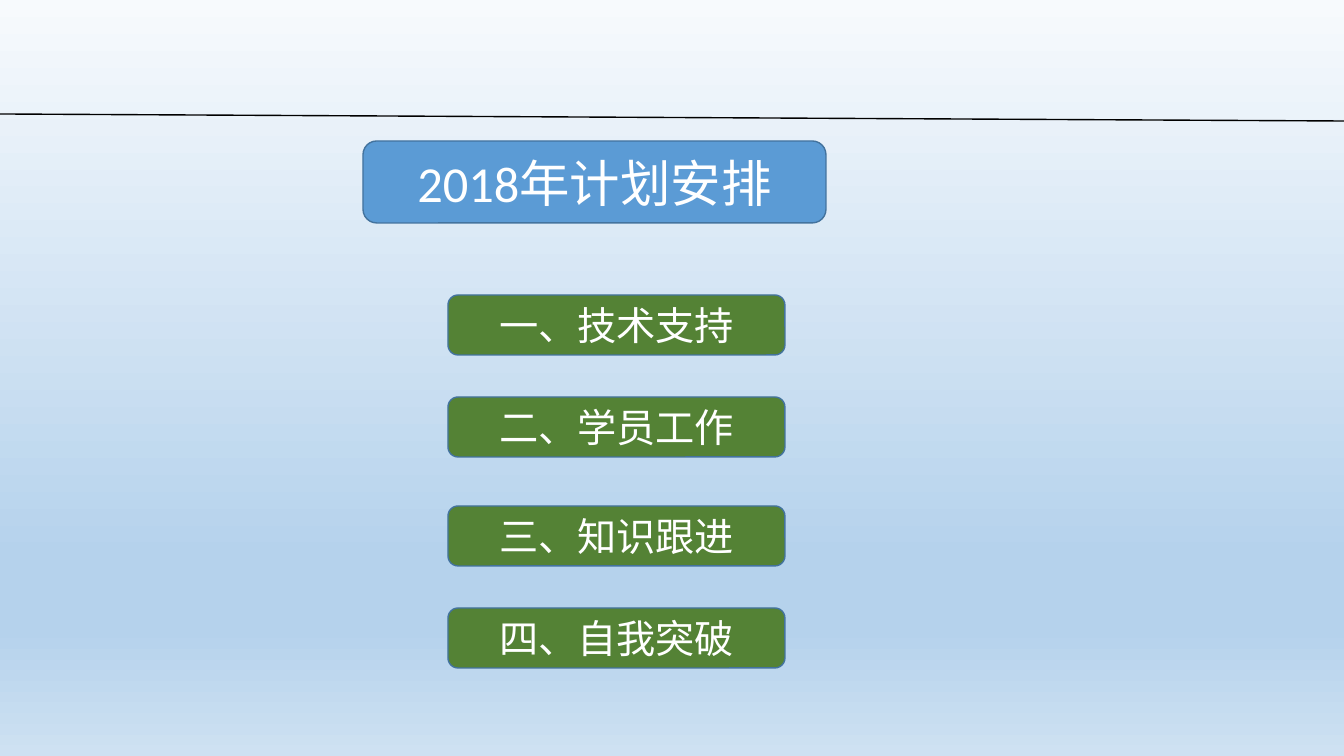
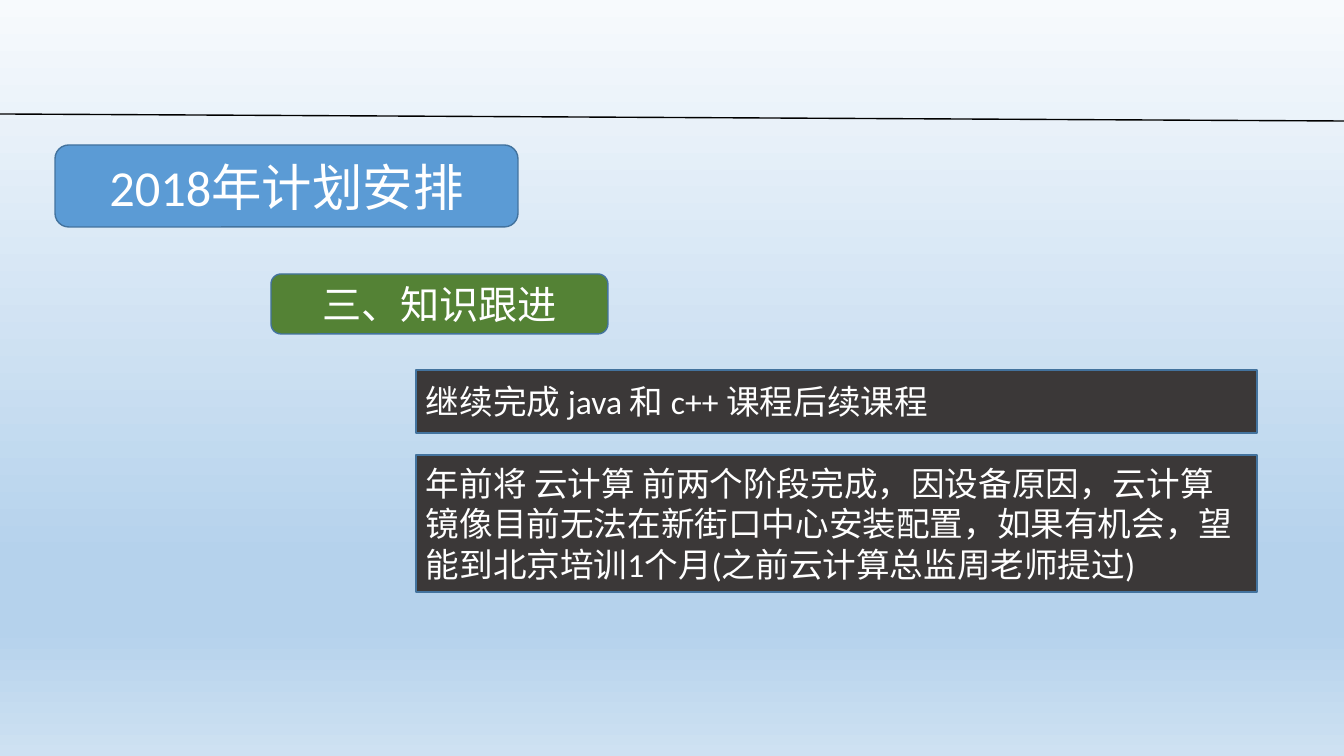
from dataclasses import dataclass

from lxml import etree
from pptx import Presentation, util as u
from pptx.dml.color import RGBColor
from pptx.enum import shapes, text
from pptx.oxml import ns

EMU_PER_PIXEL = 914400 / 100.8
SLIDE_WIDTH, SLIDE_HEIGHT = 1344, 756


@dataclass(frozen=True)
class Theme:
    """Colours, font and type sizes shared by the slides."""
    font: str = "Calibri"
    light: str = "FFFFFF"
    title_fill: str = "5B9BD5"
    section_fill: str = "548235"
    detail_fill: str = "3B3838"
    outline: str = "43739E"
    rule: str = "000000"
    sky: tuple = ((0, "F7FAFD"), (74, "B5D2EC"), (83, "B5D2EC"), (100, "CEE1F2"))
    title_size: int = 36
    section_size: int = 28
    detail_size: int = 24
    line_width: int = 1


def px(length):
    """Turn pixels into EMU."""
    return u.Emu(round(length * EMU_PER_PIXEL))


def write(frame, words, *, size, color, font, align):
    """Write one paragraph, vertically centred, into a text frame."""
    frame.word_wrap = True
    frame.vertical_anchor = text.MSO_ANCHOR.MIDDLE
    paragraph = frame.paragraphs[0]
    paragraph.alignment = align
    run = paragraph.add_run()
    run.text = words
    run.font.size = u.Pt(size)
    run.font.name = font
    run.font.color.rgb = RGBColor.from_string(color)


class Deck:
    """Hold the theme, the presentation and the current slide."""

    def __init__(self, theme):
        """Start a deck with the shared background."""
        self.theme = theme
        self.show = Presentation()
        self.show.slide_width = px(SLIDE_WIDTH)
        self.show.slide_height = px(SLIDE_HEIGHT)
        self.slide = None
        self.paint_background()

    def paint_background(self):
        """Give the master a vertical gradient with the theme's stops."""
        master = self.show.slide_master
        fill = master.background.fill
        fill.gradient()
        fill.gradient_angle = 270
        stops = master.element.find(f".//{ns.qn('p:bg')}//{ns.qn('a:gsLst')}")
        for stop in list(stops):
            stops.remove(stop)
        for percent, color in self.theme.sky:
            stop = etree.SubElement(stops, ns.qn("a:gs"), pos=str(percent * 1000))
            etree.SubElement(stop, ns.qn("a:srgbClr"), val=color)

    def new_slide(self, title_left, title_top):
        """Add a slide with its title and header rule."""
        self.slide = self.show.slides.add_slide(self.show.slide_layouts[6])
        self.title("2018年计划安排", title_left, title_top)
        self.rule((0, 114), (SLIDE_WIDTH, 121))

    def box(self, words, kind, left, top, width, height, fill, size,
            align=text.PP_ALIGN.CENTER):
        """Add a filled, outlined shape with text."""
        theme = self.theme
        shape = self.slide.shapes.add_shape(
            kind, px(left), px(top), px(width), px(height))
        shape.shadow.inherit = False
        shape.fill.solid()
        shape.fill.fore_color.rgb = RGBColor.from_string(fill)
        shape.line.color.rgb = RGBColor.from_string(theme.outline)
        shape.line.width = u.Pt(theme.line_width)
        write(shape.text_frame, words, size=size, color=theme.light,
              font=theme.font, align=align)

    def title(self, words, left, top):
        """Add the blue title box."""
        self.box(words, shapes.MSO_SHAPE.ROUNDED_RECTANGLE, left, top, 463, 82,
                 self.theme.title_fill, self.theme.title_size)

    def section(self, words, left, top):
        """Add a green section box."""
        self.box(words, shapes.MSO_SHAPE.ROUNDED_RECTANGLE, left, top, 337, 60,
                 self.theme.section_fill, self.theme.section_size)

    def detail(self, words, top, height):
        """Add a dark box of left-aligned text."""
        self.box(words, shapes.MSO_SHAPE.RECTANGLE, 416, top, 841, height,
                 self.theme.detail_fill, self.theme.detail_size,
                 text.PP_ALIGN.LEFT)

    def rule(self, start, end):
        """Add a straight line between two points."""
        line = self.slide.shapes.add_connector(
            shapes.MSO_CONNECTOR.STRAIGHT, *map(px, start + end))
        line.line.color.rgb = RGBColor.from_string(self.theme.rule)
        line.line.width = u.Pt(self.theme.line_width)
        etree.SubElement(line.element.spPr, ns.qn("a:effectLst"))


SECTIONS = (
    ("一、技术支持", 295),
    ("二、学员工作", 397),
    ("三、知识跟进", 506),
    ("四、自我突破", 608),
)


def build_overview(deck):
    """Build the slide that lists the four sections."""
    deck.new_slide(363, 141)
    for section, top in SECTIONS:
        deck.section(section, 448, top)


def build_learning(deck):
    """Build the slide about the third section."""
    deck.new_slide(55, 145)
    deck.section(SECTIONS[2][0], 271, 274)
    deck.detail("继续完成 java 和 c++ 课程后续课程", 370, 63)
    deck.detail(
        "年前将 云计算 前两个阶段完成，因设备原因，云计算镜像目前无法在"
        "新街口中心安装配置，如果有机会，望能到北京培训1个月"
        "(之前云计算总监周老师提过)", 455, 137)


plan = Deck(Theme())
build_overview(plan)
build_learning(plan)
plan.show.save("out.pptx")
